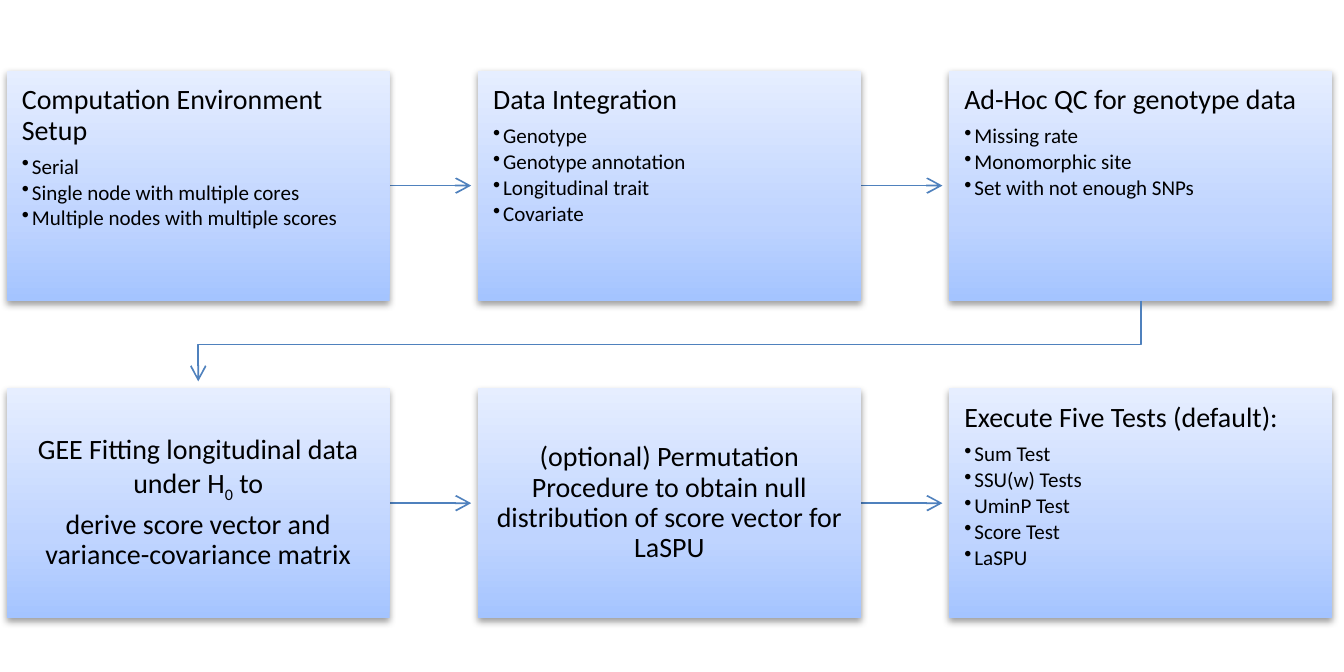
from copy import deepcopy

from lxml import etree
from pptx import Presentation
from pptx.dml.color import RGBColor
from pptx.enum.shapes import MSO_CONNECTOR, MSO_SHAPE
from pptx.enum.text import MSO_ANCHOR, PP_ALIGN
from pptx.oxml.ns import qn
from pptx.util import Inches, Pt

COLORS = {"line": "4F81BD", "text": "000000", "shadow": "000000"}
GRADIENT = [(0, "A4C4FF"), (0.35, "BFD4FF"), (1, "E6EEFF")]
FONT = "Calibri"

BOX_W, BOX_H = 2.28, 1.37
LEFT, RIGHT = 0.04, 7.93
PITCH = (RIGHT - LEFT - BOX_W) / 2
ROW_TOPS = [0.42, 2.31]
ARROW_GAP = 0.04

# Each step holds a heading (lines of plain and subscript runs) and its bullets.
STEPS = [
    [
        ([["Computation Environment Setup"]],
         ["Serial", "Single node with multiple cores",
          "Multiple nodes with multiple scores"]),
        ([["Data Integration"]],
         ["Genotype", "Genotype annotation", "Longitudinal trait", "Covariate"]),
        ([["Ad-Hoc QC for genotype data"]],
         ["Missing rate", "Monomorphic site", "Set with not enough SNPs"]),
    ],
    [
        ([["GEE Fitting longitudinal data under H", "0", " to"],
          ["derive score vector and variance-covariance matrix"]], []),
        ([["(optional) Permutation Procedure to obtain null distribution "
           "of score vector for LaSPU"]], []),
        ([["Execute Five Tests (default):"]],
         ["Sum Test", "SSU(w) Tests", "UminP Test", "Score Test", "LaSPU"]),
    ],
]


def style_box(sp):
    """Give a box its three-stop gradient and soft shadow, without outline."""
    sp.line.fill.background()
    sp.fill.gradient()
    sp.fill.gradient_angle = 90
    stop_list = sp.fill._xPr.find(qn("a:gradFill")).find(qn("a:gsLst"))
    stop_list.append(deepcopy(stop_list[-1]))
    for stop, (position, color) in zip(sp.fill.gradient_stops, GRADIENT):
        stop.position = position
        stop.color.rgb = RGBColor.from_string(color)

    sp.shadow.inherit = False
    effects = sp._element.spPr.find(qn("a:effectLst"))
    shadow = etree.SubElement(effects, qn("a:outerShdw"), blurRad=str(Pt(3.1)),
                              dist=str(Pt(1.6)), dir="5400000", rotWithShape="0")
    color = etree.SubElement(shadow, qn("a:srgbClr"), val=COLORS["shadow"])
    etree.SubElement(color, qn("a:alpha"), val="38000")


def format_paragraph(p, size, space, align):
    """Set spacing, alignment and font of one paragraph."""
    p.line_spacing = 0.9
    p.space_after = Pt(size * space)
    p.alignment = align
    for r in p.runs:
        r.font.name = FONT
        r.font.size = Pt(size)
        r.font.color.rgb = RGBColor.from_string(COLORS["text"])


def add_bullet(p):
    """Put a hanging round bullet before a paragraph."""
    pPr = p._p.get_or_add_pPr()
    pPr.set("marL", str(Inches(0.06)))
    pPr.set("indent", str(-Inches(0.06)))
    etree.SubElement(pPr, qn("a:buChar"), char="•")


def add_step(slide, left, top, width, height, heading, bullets):
    """Draw one step: centred text alone, or a heading above bullets."""
    sp = slide.shapes.add_shape(MSO_SHAPE.RECTANGLE, Inches(left), Inches(top),
                                Inches(width), Inches(height))
    style_box(sp)
    tf = sp.text_frame
    tf.word_wrap = True
    tf.margin_left = tf.margin_right = Inches(0.09)
    tf.margin_top = tf.margin_bottom = Inches(0.09)
    tf.vertical_anchor = MSO_ANCHOR.TOP if bullets else MSO_ANCHOR.MIDDLE
    align = PP_ALIGN.LEFT if bullets else PP_ALIGN.CENTER

    tf.text = "\n".join("" for _ in heading + bullets)
    heading_ps = tf.paragraphs[:len(heading)]
    for p, texts in zip(heading_ps, heading):
        for i, text in enumerate(texts):
            r = p.add_run()
            r.text = text
            if i == 1:
                r.font._element.set("baseline", "-25000")
        format_paragraph(p, 12, 0.35, align)
    for p, text in zip(tf.paragraphs[len(heading):], bullets):
        p.text = text
        format_paragraph(p, 9, 0.15, align)
        add_bullet(p)


def style_arrow(arrow):
    """Give a line its colour, width and open arrowhead, without shadow."""
    arrow.line.color.rgb = RGBColor.from_string(COLORS["line"])
    arrow.line.width = Pt(0.75)
    etree.SubElement(arrow.line._get_or_add_ln(), qn("a:tailEnd"), type="arrow")
    etree.SubElement(arrow._element.spPr, qn("a:effectLst"))


def add_row_arrow(slide, left, top, width, height):
    """Draw an arrow across the gap that follows a box."""
    y = Inches(top + height / 2)
    arrow = slide.shapes.add_connector(
        MSO_CONNECTOR.STRAIGHT, Inches(left + width), y,
        Inches(left + PITCH - ARROW_GAP), y)
    style_arrow(arrow)


def add_return_arrow(slide, start_x, start_y, end_x, end_y):
    """Draw the bent arrow from the end of one row to the start of the next."""
    middle = (start_y + end_y) / 2
    points = [(start_x, middle), (end_x, middle), (end_x, end_y - ARROW_GAP)]
    builder = slide.shapes.build_freeform(Inches(start_x), Inches(start_y))
    builder.add_line_segments([(Inches(x), Inches(y)) for x, y in points],
                              close=False)
    arrow = builder.convert_to_shape()
    arrow.fill.background()
    style_arrow(arrow)


def add_row(slide, left, top, steps):
    """Draw a row of steps joined by arrows."""
    for i, (heading, bullets) in enumerate(steps):
        box = (left + i * PITCH, top, BOX_W, BOX_H)
        if i < len(steps) - 1:
            add_row_arrow(slide, *box)
        add_step(slide, *box, heading, bullets)


def main():
    """Build the workflow slide and save it."""
    prs = Presentation()
    prs.slide_width, prs.slide_height = Inches(8), Inches(4)
    slide = prs.slides.add_slide(prs.slide_layouts[6])
    for top, steps in zip(ROW_TOPS, STEPS):
        add_row(slide, LEFT, top, steps)
    add_return_arrow(slide, RIGHT - BOX_W / 2, ROW_TOPS[0] + BOX_H,
                     LEFT + BOX_W / 2, ROW_TOPS[1])
    prs.save("out.pptx")


main()
